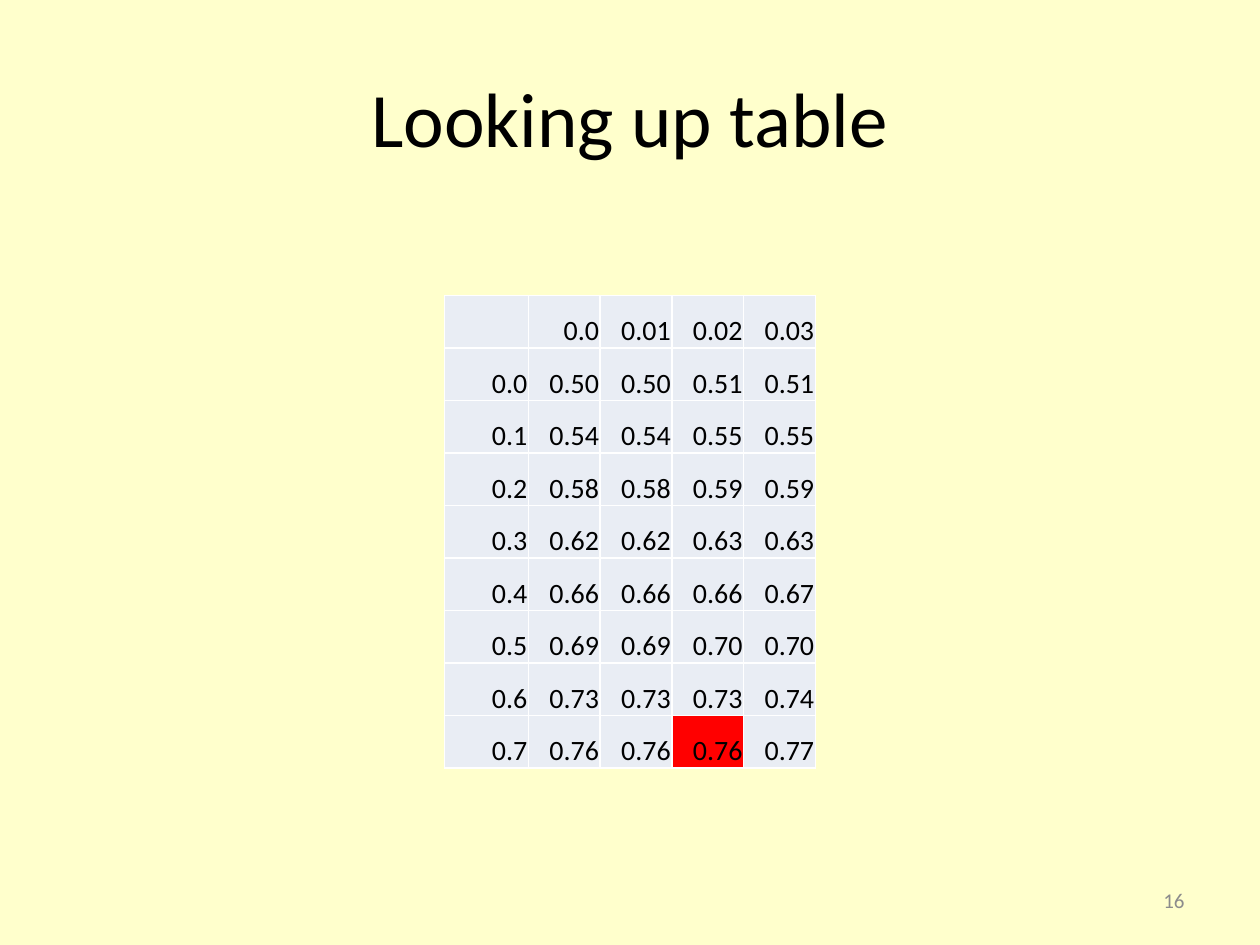
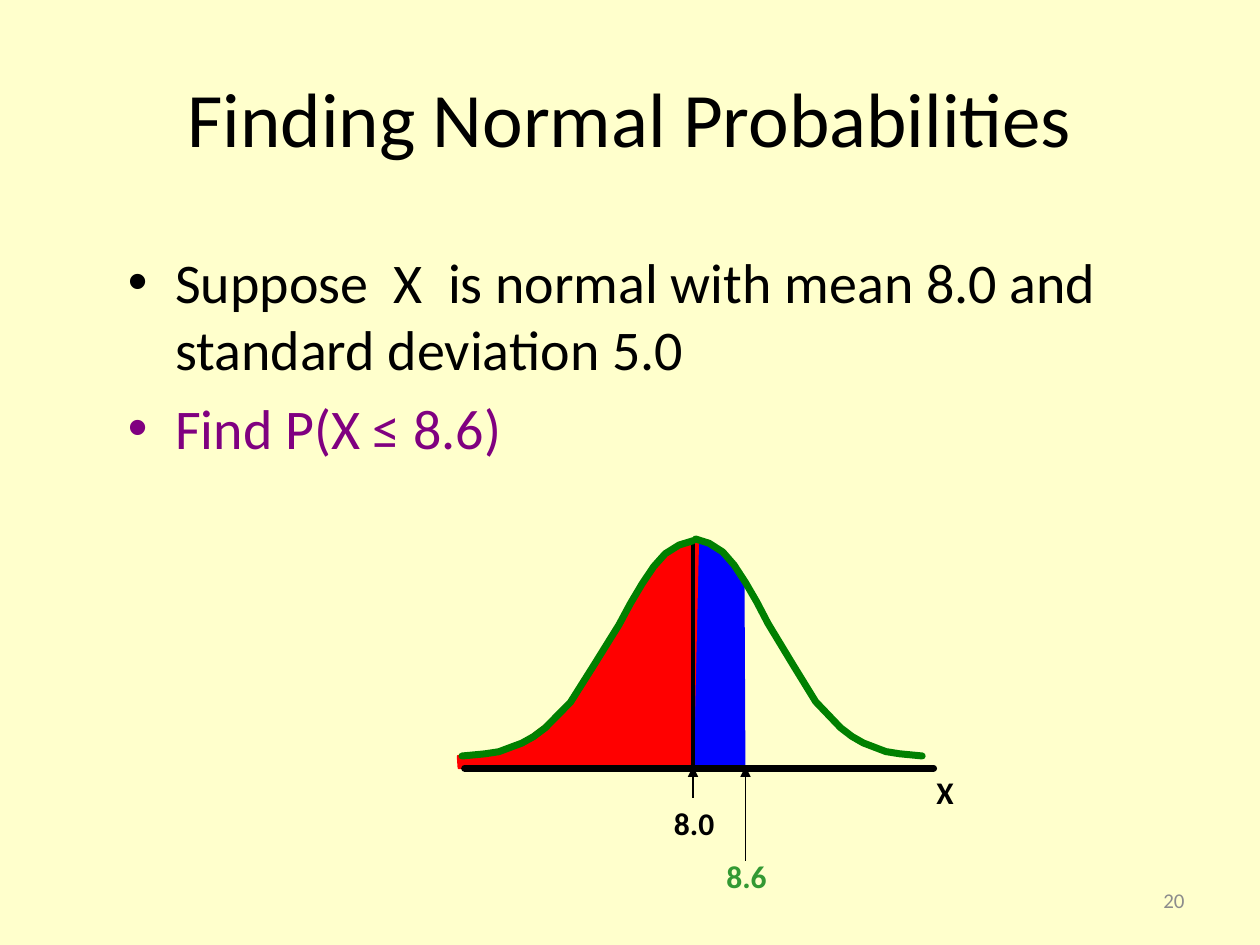
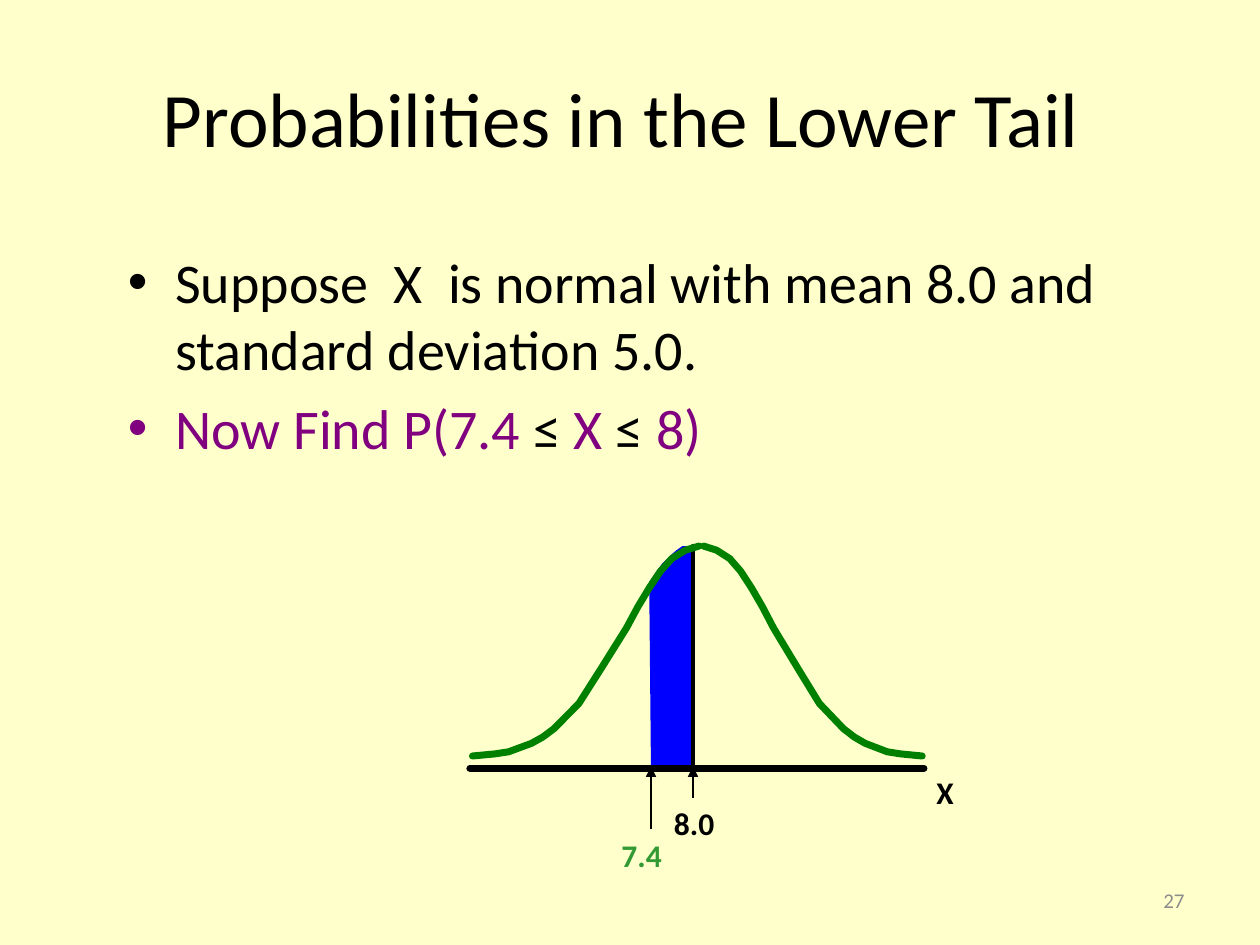
from dataclasses import dataclass

from lxml import etree
from pptx import Presentation
from pptx.dml.color import RGBColor
from pptx.enum.shapes import MSO_CONNECTOR
from pptx.enum.text import MSO_ANCHOR, PP_ALIGN
from pptx.oxml.ns import qn
from pptx.util import Pt

STRAIGHT = MSO_CONNECTOR.STRAIGHT
TOP, MIDDLE, BOTTOM = MSO_ANCHOR.TOP, MSO_ANCHOR.MIDDLE, MSO_ANCHOR.BOTTOM
LEFT, CENTER, RIGHT = PP_ALIGN.LEFT, PP_ALIGN.CENTER, PP_ALIGN.RIGHT


@dataclass(frozen=True)
class Theme:
    font: str = "Calibri"
    page: str = "FFFFCC"
    ink: str = "000000"
    gray: str = "8C8C8C"
    purple: str = "800080"
    cell: str = "E9EDF4"
    grid: str = "FFFFFF"
    red: str = "FF0000"
    blue: str = "0000FF"
    curve: str = "008000"
    mark: str = "339933"
    title: float = 44
    body: float = 32
    label: float = 18
    value: float = 16
    number: float = 12


T = Theme()

TITLE_BOX = (36, 21.6, 648, 90)
BODY_BOX = (66, 138, 636, 357)
NUMBER_BOX = (516, 500, 168, 29)
TABLE_BOX = (254, 169, 212, 270)
PLOT_BOX = (260, 306, 298, 208)

FOOT, BASE, AXIS, MEAN = 126, 132, 133, 136
HALF = [
    (0, 0), (0.1, 0.01), (0.16, 0.02), (0.21, 0.04), (0.26, 0.06), (0.31, 0.09),
    (0.36, 0.13), (0.47, 0.25), (0.57, 0.42), (0.68, 0.61), (0.73, 0.71),
    (0.78, 0.8), (0.83, 0.88), (0.88, 0.94), (0.94, 0.98), (1, 1),
]

ROWS = [
    ["", "0.0", "0.01", "0.02", "0.03"],
    ["0.0", "0.50", "0.50", "0.51", "0.51"],
    ["0.1", "0.54", "0.54", "0.55", "0.55"],
    ["0.2", "0.58", "0.58", "0.59", "0.59"],
    ["0.3", "0.62", "0.62", "0.63", "0.63"],
    ["0.4", "0.66", "0.66", "0.66", "0.67"],
    ["0.5", "0.69", "0.69", "0.70", "0.70"],
    ["0.6", "0.73", "0.73", "0.73", "0.74"],
    ["0.7", "0.76", "0.76", "0.76", "0.77"],
]
FOUND = (8, 3)

UPPER = dict(
    areas=[
        (T.blue, None, [(137, 3), (136, 132.5), (166, 133), (165.5, 28),
                        (161, 21), (157.5, 16), (149, 6)]),
        (T.red, 1, [(136, 132), (139, 1.5), (118.5, 11), (107, 26.5), (98, 42.5),
                    (88.5, 60.5), (81.5, 72.5), (72, 86.5), (66, 96),
                    (54.5, 106), (34.5, 121), (1.5, 126), (2, 133)]),
    ],
    halves=[(267, 137.5, 2), (4, 136, 3)],
    axis=(5.5, 273.5), peak=3.5,
    mark=("8.6", 166, 186, (148, 180)),
)
LOWER = dict(
    areas=[
        (T.blue, None, [(112, 132), (111, 26.5), (114.5, 21.5), (118.5, 16),
                        (123, 11.5), (126.5, 8.5), (130, 6), (136, 6), (136, 132)]),
    ],
    halves=[(267, 142, 6), (10, 139.5, 6)],
    axis=(8.5, 268), peak=6,
    mark=("7.4", 112, 168, (88, 168)),
)


def rgb(code):
    return RGBColor.from_string(code)


def style(font, size, color, bold=False):
    font.name, font.size, font.bold = T.font, Pt(size), bold
    font.color.rgb = rgb(color)


def frame(slide, box, anchor=TOP, wrap=True):
    text = slide.shapes.add_textbox(*map(Pt, box)).text_frame
    text.word_wrap, text.vertical_anchor = wrap, anchor
    return text


def write(slide, box, words, size, color=T.ink, align=LEFT, anchor=TOP,
          bold=False, wrap=True):
    para = frame(slide, box, anchor, wrap).paragraphs[0]
    para.text, para.alignment = words, align
    style(para.font, size, color, bold)


def pen(shape, color, width):
    shape.line.color.rgb = rgb(color)
    shape.line.width = Pt(width)
    line = shape.line._get_or_add_ln()
    line.set("cap", "rnd")
    etree.SubElement(line, qn("a:round"))
    return line


def rule(slide, start, end, width, arrow=False):
    shape = slide.shapes.add_connector(STRAIGHT, *map(Pt, (*start, *end)))
    line = pen(shape, T.ink, width)
    if arrow:
        line.attrib.pop("cap")
        etree.SubElement(line, qn("a:tailEnd"), type="triangle")
    etree.SubElement(shape.element.spPr, qn("a:effectLst"))


def trace(slide, points, close):
    dots = [(Pt(x), Pt(y)) for x, y in points]
    build = slide.shapes.build_freeform(*dots[0])
    build.add_line_segments(dots[1:], close=close)
    shape = build.convert_to_shape()
    shape.shadow.inherit = False
    return shape


def add_page(deck, title, number):
    slide = deck.slides.add_slide(deck.slide_layouts[6])
    fill = slide.background.fill
    fill.solid()
    fill.fore_color.rgb = rgb(T.page)
    write(slide, TITLE_BOX, title, T.title, align=CENTER, anchor=MIDDLE)
    write(slide, NUMBER_BOX, number, T.number, T.gray, RIGHT, MIDDLE)
    return slide


def add_points(slide, box, points):
    text = frame(slide, box)
    for index, runs in enumerate(points):
        para = text.add_paragraph() if index else text.paragraphs[0]
        para.space_before = Pt(T.body * 0.2)
        props = para._p.get_or_add_pPr()
        props.set("marL", str(Pt(27)))
        props.set("indent", str(Pt(-27)))
        etree.SubElement(props, qn("a:buFont"), typeface="Arial")
        etree.SubElement(props, qn("a:buChar"), char="•")
        style(para.font, T.body, runs[0][1])
        for words, color in runs:
            run = para.add_run()
            run.text = words
            if len(runs) > 1:
                run.font.color.rgb = rgb(color)


def fill_cell(cell, words, color):
    cell.margin_left = cell.margin_right = cell.margin_top = Pt(0.75)
    cell.margin_bottom = Pt(0)
    cell.vertical_anchor = BOTTOM
    props = cell._tc.get_or_add_tcPr()
    for side in ("lnL", "lnR", "lnT", "lnB"):
        line = etree.SubElement(props, qn("a:" + side), w=str(Pt(1)))
        solid = etree.SubElement(line, qn("a:solidFill"))
        etree.SubElement(solid, qn("a:srgbClr"), val=T.grid)
    cell.fill.solid()
    cell.fill.fore_color.rgb = rgb(color)
    para = cell.text_frame.paragraphs[0]
    para.text, para.alignment = words, RIGHT
    style(para.font, T.value, T.ink)


def add_lookup(slide, box):
    count = len(ROWS[0])
    table = slide.shapes.add_table(len(ROWS), count, *map(Pt, box)).table
    table.first_row = table.horz_banding = False
    first = 48
    for index, column in enumerate(table.columns):
        column.width = Pt((box[2] - first) / (count - 1) if index else first)
    for row, values in enumerate(ROWS):
        table.rows[row].height = Pt(box[3] / len(ROWS))
        for col, words in enumerate(values):
            color = T.red if (row, col) == FOUND else T.cell
            fill_cell(table.cell(row, col), words, color)


def add_bell(slide, box, areas, halves, axis, peak, mark):
    def at(x, y):
        return box[0] + x, box[1] + y

    def label(words, spot, color=T.ink, wide=40, wrap=False):
        write(slide, (*at(*spot), wide, 29), words, T.label, color,
              bold=True, wrap=wrap)

    for color, edge, points in areas:
        shape = trace(slide, [at(*point) for point in points], True)
        shape.fill.solid()
        shape.fill.fore_color.rgb = rgb(color)
        if edge:
            pen(shape, color, edge)
        else:
            shape.line.fill.background()
    rule(slide, at(MEAN, peak), at(MEAN, BASE), 2.5)
    for tail, crest, top in halves:
        points = [at(tail + u * (crest - tail), FOOT + v * (top - FOOT))
                  for u, v in HALF]
        shape = trace(slide, points, False)
        shape.fill.background()
        pen(shape, T.curve, 4)
    rule(slide, at(axis[0], AXIS), at(axis[1], AXIS), 4)

    words, x, low, spot = mark
    label("X", (268, BASE), wide=30, wrap=True)
    label(words, spot, T.mark)
    label("8.0", (118, 150))
    for place, start in ((MEAN, 150), (x, low)):
        rule(slide, at(place, start), at(place, BASE), 1, True)


def add_normal(deck, title, number, points, plot):
    slide = add_page(deck, title, number)
    add_points(slide, BODY_BOX, points)
    add_bell(slide, PLOT_BOX, **plot)


def main():
    deck = Presentation()
    deck.slide_width, deck.slide_height = Pt(720), Pt(540)
    add_lookup(add_page(deck, "Looking up table", "16"), TABLE_BOX)
    given = "Suppose  X  is normal with mean 8.0 and standard deviation 5.0"
    add_normal(deck, "Finding Normal Probabilities", "20",
               [[(given, T.ink)], [("Find P(X ≤ 8.6)", T.purple)]], UPPER)
    task = [("Now Find P(7.4 ", T.purple), ("≤ ", T.ink), ("X ", T.purple),
            ("≤ ", T.ink), ("8)", T.purple)]
    add_normal(deck, "Probabilities in the Lower Tail ", "27",
               [[(given + ".", T.ink)], task], LOWER)
    deck.save("out.pptx")


if __name__ == "__main__":
    main()
